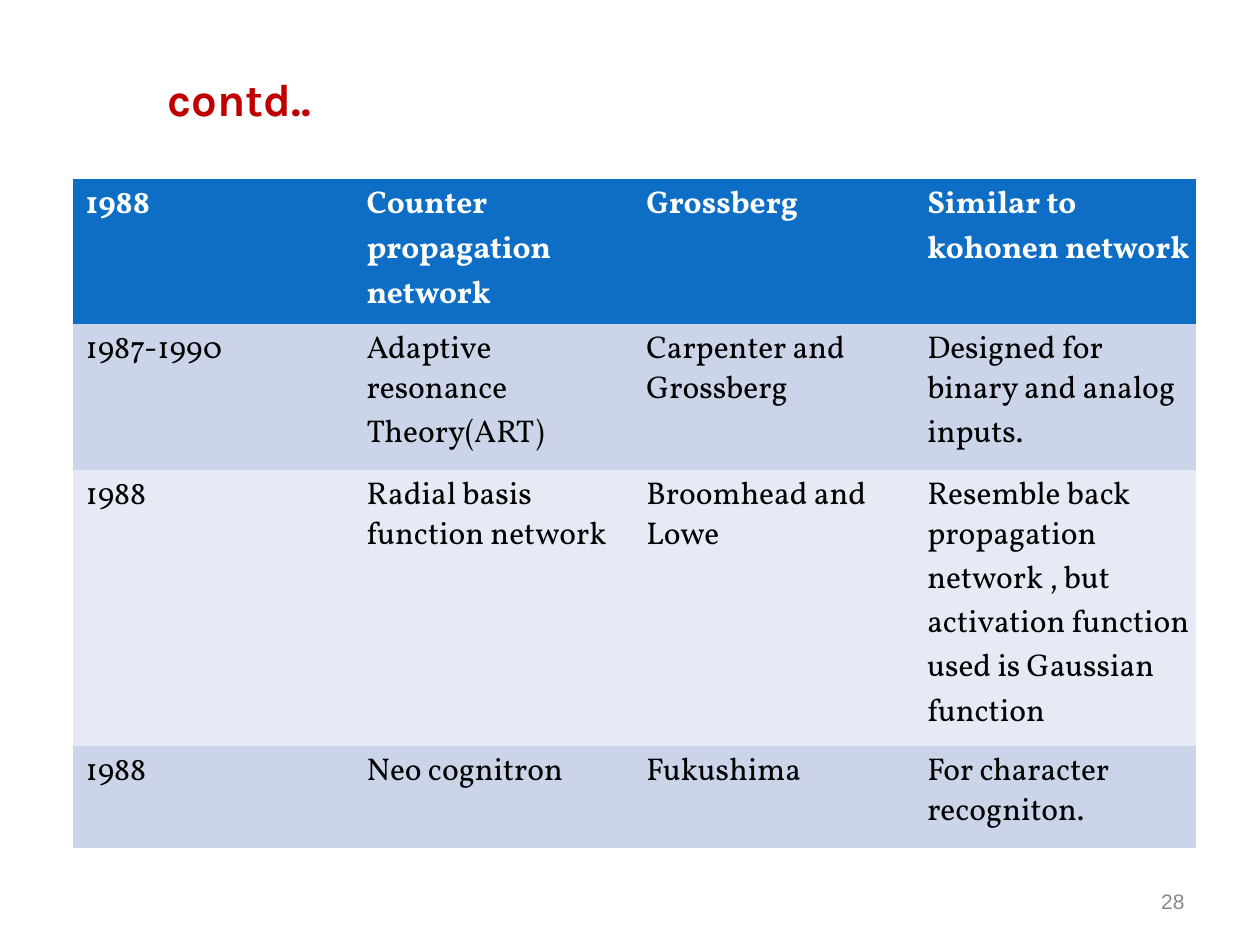
from pptx import Presentation
from pptx.dml.color import RGBColor
from pptx.enum.text import MSO_ANCHOR, PP_ALIGN
from pptx.util import Inches, Pt

RED = RGBColor(0xC0, 0x00, 0x00)
BLUE = RGBColor(0x0E, 0x6E, 0xC5)
DARK_BAND = RGBColor(0xCC, 0xD4, 0xE9)
LIGHT_BAND = RGBColor(0xE6, 0xEA, 0xF4)
WHITE = RGBColor(0xFF, 0xFF, 0xFF)
BLACK = RGBColor(0, 0, 0)
GRAY = RGBColor(0x89, 0x89, 0x89)

# Each entry: band fill, then its table rows as (height, cell texts)
ENTRIES = [
    (BLUE, [
        (1.15, ["1988", "Counter propagation network", "Grossberg",
                "Similar to kohonen network"]),
    ]),
    (DARK_BAND, [
        (0.44, ["1987-1990", "Adaptive", "Carpenter and", "Designed for"]),
        (0.35, ["", "resonance", "Grossberg", "binary and analog"]),
        (0.37, ["", "Theory(ART)", "", "inputs."]),
    ]),
    (LIGHT_BAND, [
        (0.44, ["1988", "Radial basis", "Broomhead and", "Resemble back"]),
        (0.35, ["", "function network", "Lowe", "propagation"]),
        (0.35, ["", "", "", "network , but"]),
        (0.35, ["", "", "", "activation function"]),
        (0.35, ["", "", "", "used is Gaussian"]),
        (0.35, ["", "", "", "function"]),
    ]),
    (DARK_BAND, [
        (0.44, ["1988", "Neo cognitron", "Fukushima", "For character"]),
        (0.37, ["", "", "", "recogniton."]),
    ]),
]
COLUMNS = [(1.73, 0.1), (2.64, 0.6), (2.15, 0.18), (2.39, 0.26)]  # width, indent


def add_run(p, text, font, size, color, bold=False):
    r = p.add_run()
    r.text = text
    r.font.name = font
    r.font.size = Pt(size)
    r.font.bold = bold
    r.font.color.rgb = color


def add_text(slide, box, margins, align):
    tf = slide.shapes.add_textbox(*map(Inches, box)).text_frame
    tf.word_wrap = True
    tf.vertical_anchor = MSO_ANCHOR.MIDDLE
    tf.margin_left, tf.margin_top, tf.margin_right, tf.margin_bottom = map(
        Inches, margins)
    p = tf.paragraphs[0]
    p.alignment = align
    return p


def fill_cell(cell, text, fill, indent, is_header, is_first):
    cell.fill.solid()
    cell.fill.fore_color.rgb = fill
    cell.margin_left = Inches(indent)
    cell.margin_right = cell.margin_bottom = 0
    cell.margin_top = Inches(0.04 if is_first else 0)
    p = cell.text_frame.paragraphs[0]
    if not is_first:
        p.line_spacing = Pt(19)
    elif is_header and " " in text:
        p.line_spacing = 1.02
        cell.margin_top = Inches(0.03)
    if text:
        add_run(p, text, "Vollkorn", 18, WHITE if is_header else BLACK, is_header)


prs = Presentation()
prs.slide_width, prs.slide_height = Inches(10), Inches(7.5)
slide = prs.slides.add_slide(prs.slide_layouts[6])

# Title
p = add_text(slide, (0.75, 0.55, 2.29, 0.45), (0.01, 0.01, 0, 0), PP_ALIGN.CENTER)
add_run(p, "contd..", "Karla", 26, RED, True)

# Table of networks
rows = [(fill, height, texts, i == 0)
        for fill, lines in ENTRIES for i, (height, texts) in enumerate(lines)]
table = slide.shapes.add_table(
    len(rows), len(COLUMNS), Inches(0.58), Inches(1.42),
    Inches(sum(width for width, _ in COLUMNS)),
    Inches(sum(row[1] for row in rows))).table
for column, (width, _) in zip(table.columns, COLUMNS):
    column.width = Inches(width)
for i, (fill, height, texts, is_first) in enumerate(rows):
    table.rows[i].height = Inches(height)
    for j, (text, (_, indent)) in enumerate(zip(texts, COLUMNS)):
        fill_cell(table.cell(i, j), text, fill, indent, i == 0, is_first)
# The bands touch, so the style's rules between rows are switched off
table.first_row = table.horz_banding = False
style_id = table._tbl.tblPr.find("{*}tableStyleId")
style_id.text = "{2D5ABB26-0587-4C30-8999-92F81FD0307C}"

# Slide number
p = add_text(slide, (7.17, 6.95, 2.33, 0.4), (0.1, 0.05, 0.1, 0.05), PP_ALIGN.RIGHT)
add_run(p, "28", "Arial", 12, GRAY)

prs.save("out.pptx")
